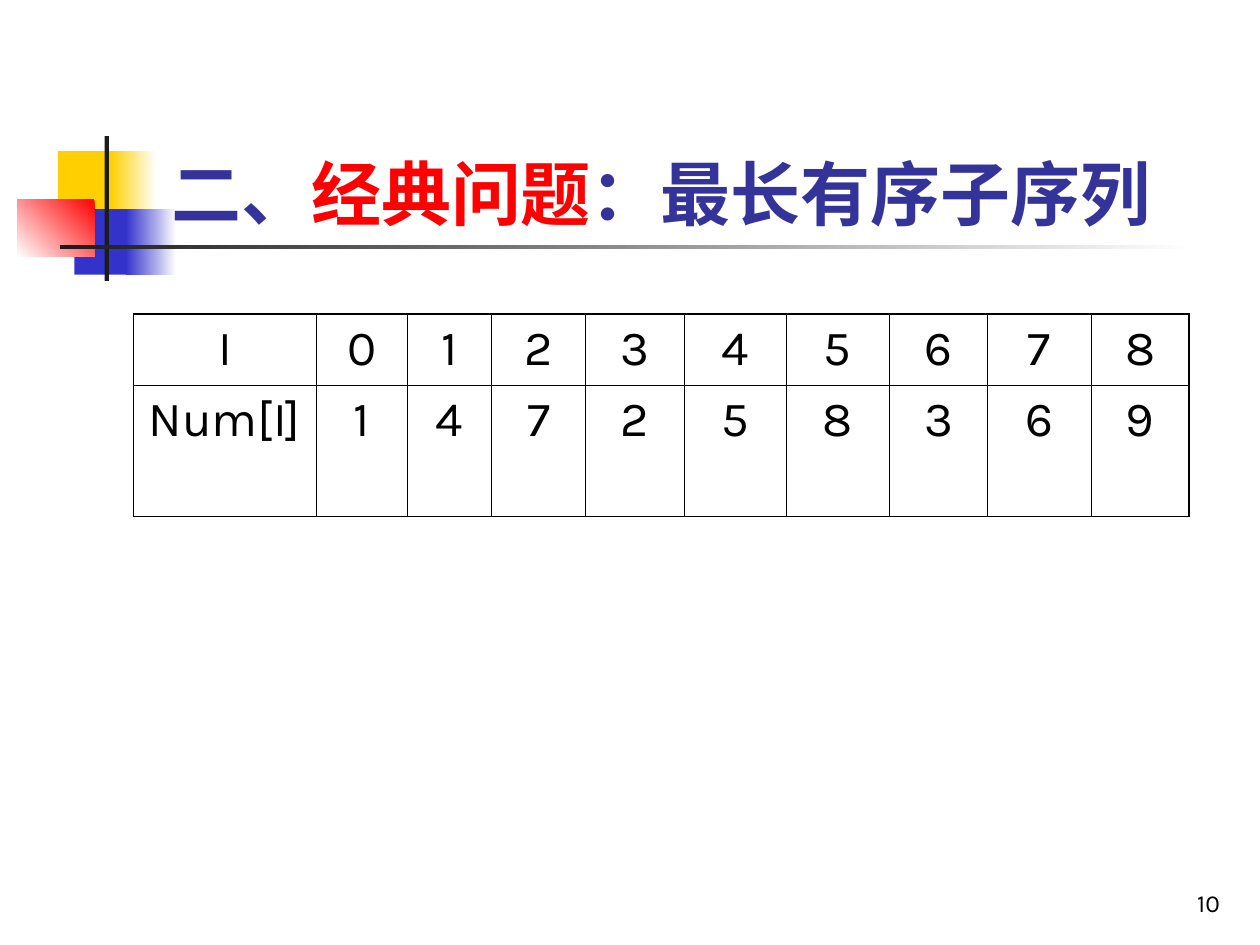
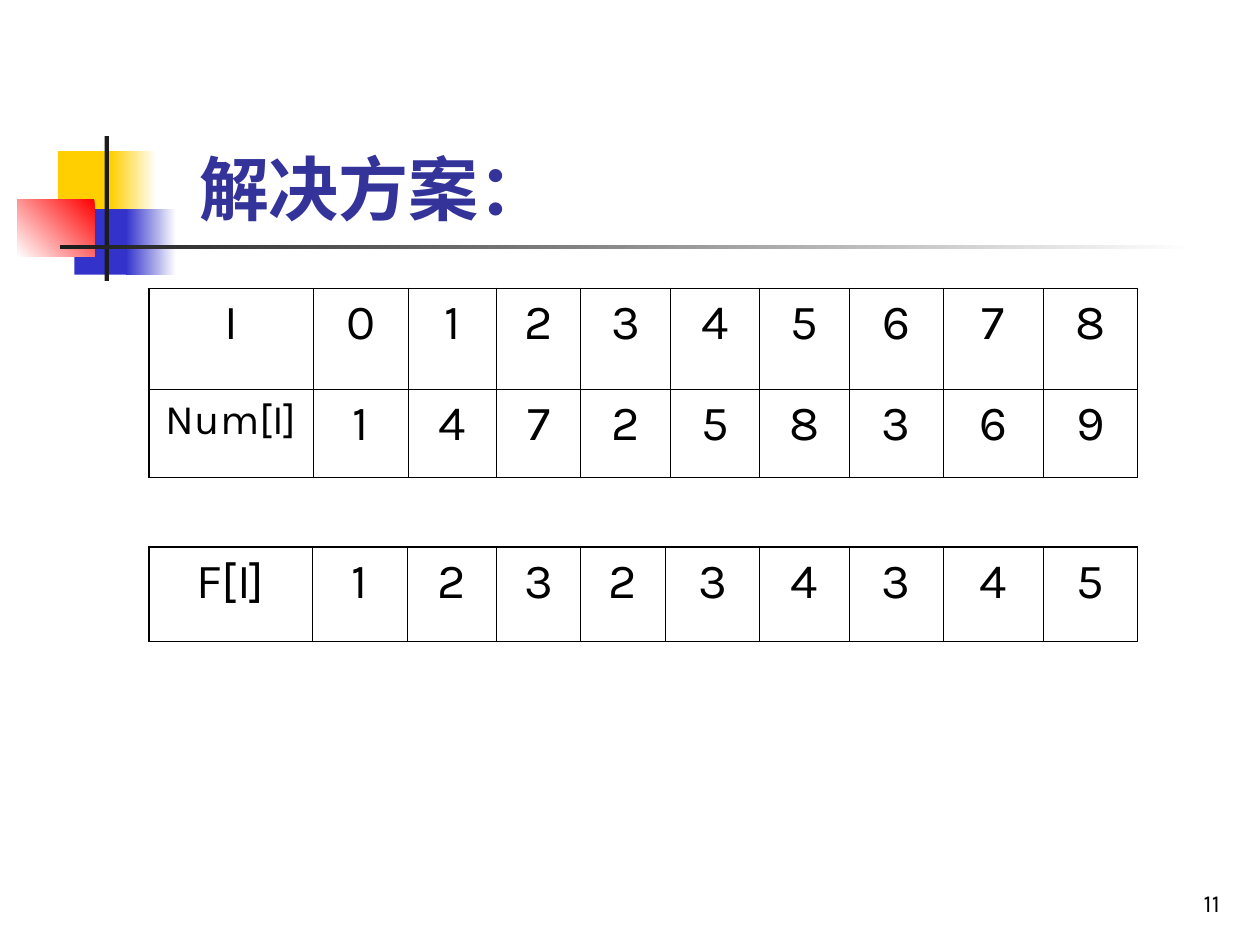
from dataclasses import dataclass
from typing import NamedTuple

import lxml.etree
import pptx
import pptx.dml.color
import pptx.enum.shapes
import pptx.enum.text
import pptx.oxml.ns
import pptx.util

# Grid cells are a tenth of an inch: 100 columns by 75 rows
COLS, ROWS = 100, 75
UNIT = pptx.util.Inches(0.1)


@dataclass(frozen=True)
class Theme:
    font: str = "Karla"
    ink: str = "000000"
    title: str = "333399"
    accent: str = "FF0000"
    gold: str = "FFCF01"
    blue: str = "3333CC"
    dark: str = "1C1C1C"
    white: str = "FFFFFF"
    head: float = 40
    body: float = 28
    small: float = 24
    foot: float = 14
    thick: float = 1.08
    thin: float = 0.45


THEME = Theme()


class Box(NamedTuple):
    left: float
    top: float
    width: float
    height: float


class Block(NamedTuple):
    box: Box
    start: str
    end: str = ""  # empty for a solid fill
    angle: float = 180


class Part(NamedTuple):
    text: str
    color: str = THEME.title


class Grid(NamedTuple):
    left: float
    top: float
    widths: tuple[float, ...]
    heights: tuple[float, ...]
    rows: tuple[tuple[str, str], ...]  # label and digits
    sizes: tuple[float, ...]  # label sizes


class Page(NamedTuple):
    number: int
    box: Box
    title: tuple[Part, ...]
    grids: tuple[Grid, ...]


# Shared decoration
BLOCKS = (
    Block(Box(4.6, 12, 4.8, 5.2), THEME.gold),
    Block(Box(8.8, 12, 3.6, 5.2), THEME.white, THEME.gold),
    Block(Box(5.9, 16.6, 4.6, 5.2), THEME.blue),
    Block(Box(10, 16.6, 4, 5.2), THEME.white, THEME.blue),
    Block(Box(1.4, 15.8, 6.1, 4.6), THEME.accent, THEME.white, 225),
    Block(Box(8.3, 10.8, 0.35, 11.5), THEME.dark),
    Block(Box(4.8, 19.45, 90, 0.35), THEME.white, THEME.dark),
)
FOOT = Box(77, 68.3, 20.8, 5)

# Page content
INDEX = ("I", "012345678")
NUMS = ("Num[I]", "147258369")
PAGES = (
    Page(10, Box(12.6, 9.1, 85.2, 10),
         (Part("二、"), Part("经典问题", THEME.accent), Part("：最长有序子序列")),
         (Grid(10.6, 24.9,
               (14.5, 7.2, 6.7, 7.5, 7.8, 8.1, 8.2, 7.8, 8.2, 7.8),
               (5.7, 10.4), (INDEX, NUMS), (THEME.body, THEME.body)),)),
    Page(11, Box(14.8, 11.1, 55.7, 7.6),
         (Part("解决方案："),),
         (Grid(11.8, 22.9,
               (13.1, 7.5, 7, 6.7, 7.1, 7.1, 7.1, 7.5, 7.9, 7.5),
               (8, 7), (INDEX, NUMS), (THEME.body, THEME.small)),
          Grid(11.8, 43.4,
               (13, 7.5, 7.1, 6.7, 6.7, 7.5, 7.1, 7.5, 7.9, 7.5),
               (7.5,), (("F[I]", "123234345"),), (THEME.body,)))),
)


def span(cells: float) -> int:
    return round(cells * UNIT)


def place(box: Box) -> list[int]:
    return [span(side) for side in box]


def rgb(color: str) -> pptx.dml.color.RGBColor:
    return pptx.dml.color.RGBColor.from_string(color)


def style(para, size: float, align: str, bold: bool = False) -> None:
    para.alignment = pptx.enum.text.PP_ALIGN[align]
    para.font.name = THEME.font
    para.font.size = pptx.util.Pt(size)
    para.font.bold = bold
    para.font.color.rgb = rgb(THEME.ink)


def add_block(slide, block: Block):
    kind = pptx.enum.shapes.MSO_SHAPE.RECTANGLE
    shape = slide.shapes.add_shape(kind, *place(block.box))
    shape.shadow.inherit = False
    shape.line.fill.background()
    if block.end:
        shape.fill.gradient()
        shape.fill.gradient_angle = block.angle
        for stop, color in zip(shape.fill.gradient_stops, block[1:3]):
            stop.color.rgb = rgb(color)
    else:
        shape.fill.solid()
        shape.fill.fore_color.rgb = rgb(block.start)
    return shape


def dress_master(prs, slide) -> None:
    """Draw the decoration and move it to the master, for all pages."""
    tree = prs.slide_master.shapes.element
    for count, block in enumerate(BLOCKS):
        node = add_block(slide, block).element
        node.xpath("p:nvSpPr/p:cNvPr")[0].set("id", str(100 + count))
        tree.append(node)


def add_title(slide, page: Page) -> None:
    title = slide.shapes.title
    title.left, title.top, title.width, title.height = place(page.box)
    frame = title.text_frame
    frame.auto_size = pptx.enum.text.MSO_AUTO_SIZE.NONE
    frame.vertical_anchor = pptx.enum.text.MSO_ANCHOR.BOTTOM
    para = frame.paragraphs[0]
    style(para, THEME.head, "LEFT", True)
    for part in page.title:
        run = para.add_run()
        run.text = part.text
        run.font.color.rgb = rgb(part.color)


def add_edges(cell, outer: dict[str, bool]) -> None:
    """Rule the four sides of a cell, thicker on the table's rim."""
    qn = pptx.oxml.ns.qn
    props = cell._tc.get_or_add_tcPr()
    for place_no, (side, rim) in enumerate(outer.items()):
        width = pptx.util.Pt(THEME.thick if rim else THEME.thin)
        line = lxml.etree.Element(qn(f"a:ln{side}"), w=str(width))
        fill = lxml.etree.SubElement(line, qn("a:solidFill"))
        lxml.etree.SubElement(fill, qn("a:srgbClr"), val=THEME.ink)
        props.insert(place_no, line)


def add_grid(slide, grid: Grid) -> None:
    high, wide = len(grid.heights), len(grid.widths)
    box = Box(grid.left, grid.top, sum(grid.widths), sum(grid.heights))
    table = slide.shapes.add_table(high, wide, *place(box)).table
    table.first_row = table.horz_banding = False
    for col, width in zip(table.columns, grid.widths):
        col.width = span(width)
    for r, (label, digits) in enumerate(grid.rows):
        table.rows[r].height = span(grid.heights[r])
        for c, text in enumerate((label, *digits)):
            cell = table.cell(r, c)
            cell.text = text
            cell.fill.background()
            size = THEME.body if c else grid.sizes[r]
            style(cell.text_frame.paragraphs[0], size, "CENTER")
            add_edges(cell, {"L": c == 0, "R": c == wide - 1,
                             "T": r == 0, "B": r == high - 1})


def add_number(slide, number: int) -> None:
    frame = slide.shapes.add_textbox(*place(FOOT)).text_frame
    frame.word_wrap = True
    frame.vertical_anchor = pptx.enum.text.MSO_ANCHOR.BOTTOM
    frame.text = str(number)
    style(frame.paragraphs[0], THEME.foot, "RIGHT")


def main() -> None:
    prs = pptx.Presentation()
    prs.slide_width, prs.slide_height = span(COLS), span(ROWS)
    layout = prs.slide_layouts.get_by_name("Title Only")
    for page in PAGES:
        slide = prs.slides.add_slide(layout)
        if page is PAGES[0]:
            dress_master(prs, slide)
        add_title(slide, page)
        for grid in page.grids:
            add_grid(slide, grid)
        add_number(slide, page.number)
    prs.save("out.pptx")


if __name__ == "__main__":
    main()
